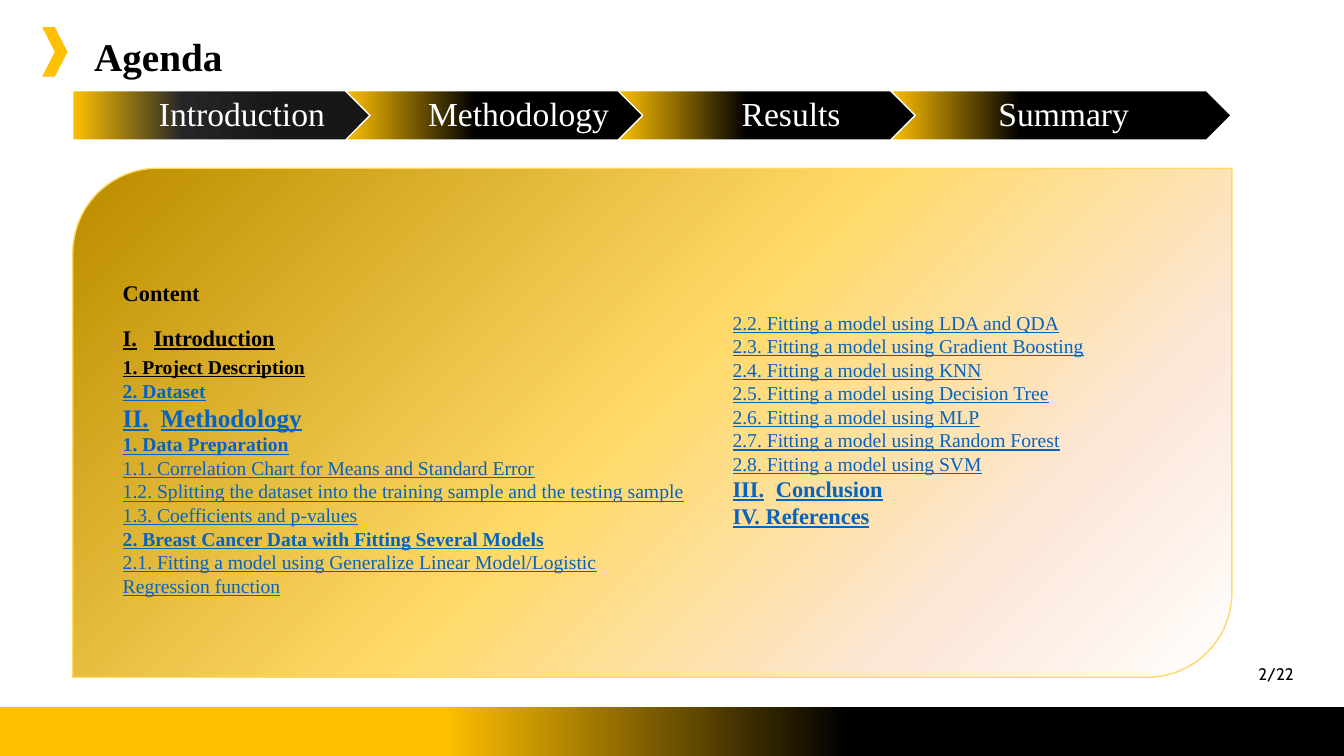
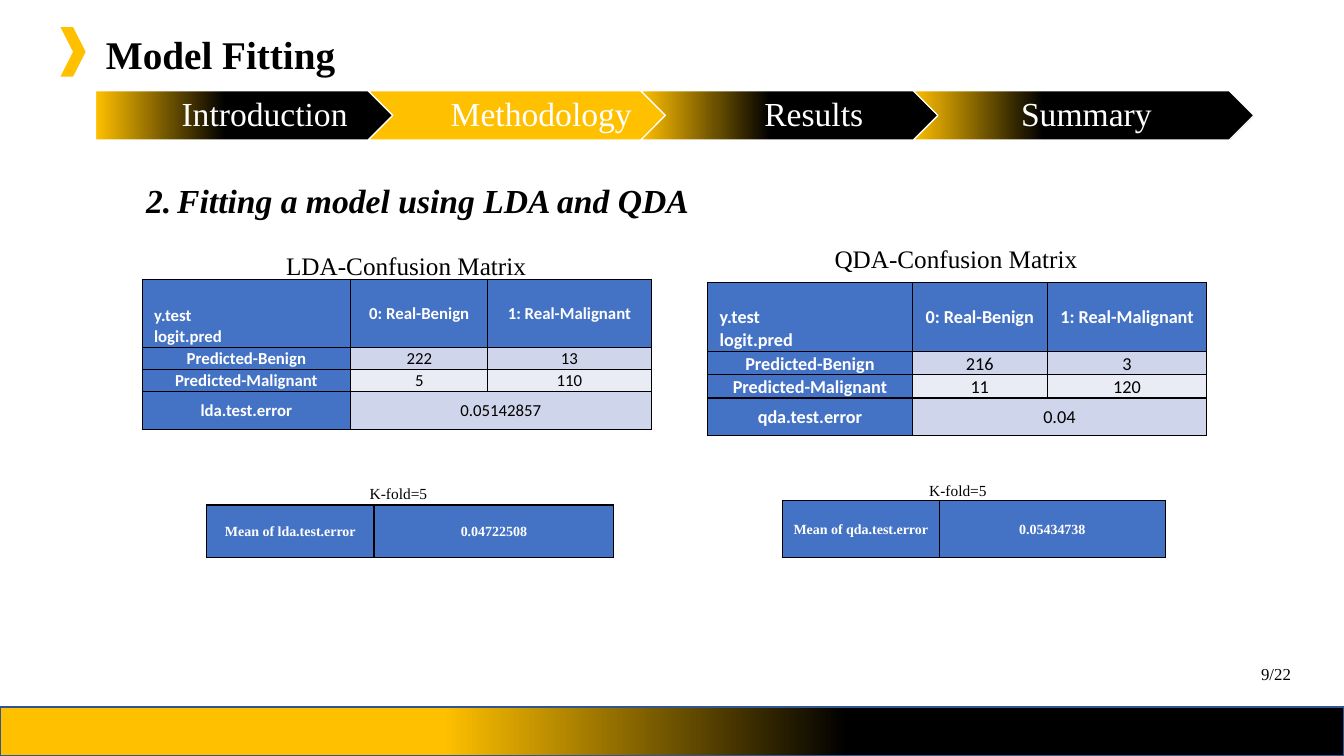
from dataclasses import dataclass

from lxml import etree
from pptx import Presentation
from pptx.dml.color import RGBColor
from pptx.enum.shapes import MSO_SHAPE
from pptx.enum.text import MSO_ANCHOR, MSO_AUTO_SIZE, PP_ALIGN
from pptx.oxml.ns import qn
from pptx.util import Pt

CHEVRON, PENTAGON = MSO_SHAPE.CHEVRON, MSO_SHAPE.PENTAGON
RECT, DIAGONAL = MSO_SHAPE.RECTANGLE, MSO_SHAPE.ROUND_2_DIAG_RECTANGLE
TOP, MIDDLE, BOTTOM = MSO_ANCHOR.TOP, MSO_ANCHOR.MIDDLE, MSO_ANCHOR.BOTTOM
LEFT, CENTER = PP_ALIGN.LEFT, PP_ALIGN.CENTER
NO_FIT = MSO_AUTO_SIZE.NONE


@dataclass(frozen=True)
class Theme:
    serif: str = "Times New Roman"
    sans: str = "Calibri"
    number: str = "Cabin"
    ink: str = "000000"
    white: str = "FFFFFF"
    gold: str = "FFC000"
    pale_gold: str = "FFD966"
    link: str = "0563C1"
    outline: str = "325491"
    header: str = "4472C4"
    odd_row: str = "CFD5EA"
    even_row: str = "E9EBF5"
    band: tuple = ((0, "FFC000"), (33, "FFC000"), (63, "000000"), (100, "000000"))
    step: tuple = ((0, "FFC000"), (38, "000000"), (83, "000000"))
    soft_step: tuple = ((0, "FFC000"), (32, "262626"), (62, "181717"))
    panel: tuple = ((0, "FFFFFF"), (21, "FCE7D9"), (52, "FFD966"), (97, "BF9000"))
    title: int = 28
    heading: int = 24
    caption: int = 18
    section: int = 16
    entry: int = 14
    page: int = 12
    note: int = 11
    small: int = 10


T = Theme()


@dataclass
class Entry:
    text: str
    size: int = T.entry
    color: str = T.link
    bold: bool = False
    underline: bool = True
    before: int = 0
    spacing: float = 1.0
    tab: int = 0


def paint(sp, fill, line=None):
    sp.shadow.inherit = False
    if isinstance(fill, str):
        sp.fill.solid()
        sp.fill.fore_color.rgb = RGBColor.from_string(fill)
    else:
        sp.fill.gradient()
        sp.fill.gradient_angle = 0
        stops = sp._element.spPr.find(qn("a:gradFill")).find(qn("a:gsLst"))
        for stop in list(stops):
            stops.remove(stop)
        for pos, color in fill:
            stop = etree.SubElement(stops, qn("a:gs"), pos=str(pos * 1000))
            etree.SubElement(stop, qn("a:srgbClr"), val=color)
    if line:
        sp.line.color.rgb = RGBColor.from_string(line)
        sp.line.width = Pt(1)
    else:
        sp.line.fill.background()


def write(p, text, size, color=T.ink, font=T.serif, bold=False, italic=False, underline=False):
    r = p.add_run()
    r.text = text
    r.font.name = font
    r.font.size = Pt(size)
    r.font.color.rgb = RGBColor.from_string(color)
    r.font.bold = bold
    r.font.italic = italic
    r.font.underline = underline


prs = Presentation()
prs.slide_width, prs.slide_height = Pt(960), Pt(540)

steps = ("Introduction", "Methodology", "Results", "Summary")
pages = (
    ("Agenda", 60, 19.4, 30.2, 52, {0: T.soft_step}, None, "2/22", T.number),
    ("Model Fitting", 68.4, 18, 43.2, 68.2, {1: T.gold}, T.outline, "9/22", T.serif),
)
slides = []
for title, title_x, title_y, mark_x, nav_x, special, band_line, number, number_font in pages:
    s = prs.slides.add_slide(prs.slide_layouts[5])
    slides.append(s)

    sp = s.shapes.add_shape(RECT, 0, Pt(505), Pt(960), Pt(35))
    paint(sp, T.band, band_line)
    sp = s.shapes.add_shape(CHEVRON, Pt(mark_x), Pt(19.4), Pt(18), Pt(35.3))
    paint(sp, T.gold)

    sp = s.shapes.title
    sp.left, sp.top, sp.width, sp.height = Pt(title_x), Pt(title_y), Pt(262), Pt(41)
    tf = sp.text_frame
    tf.auto_size = NO_FIT
    tf.vertical_anchor = TOP
    p = tf.paragraphs[0]
    p.alignment = LEFT
    write(p, title, T.title, bold=True)

    for i, label in enumerate(steps):
        kind = CHEVRON if i else PENTAGON
        sp = s.shapes.add_shape(kind, Pt(nav_x + i * 194.7), Pt(64.8), Pt(243.4), Pt(35.3))
        paint(sp, special.get(i, T.step), T.white)
        tf = sp.text_frame
        tf.vertical_anchor = MIDDLE
        tf.margin_left, tf.margin_right = Pt(7 if i else 10), Pt(3)
        tf.margin_top = tf.margin_bottom = Pt(5)
        p = tf.paragraphs[0]
        p.alignment = CENTER
        p.line_spacing = 0.9
        write(p, label, T.heading, T.white)

    tf = s.shapes.add_textbox(Pt(863), Pt(460.8), Pt(97), Pt(40.3)).text_frame
    tf.word_wrap = True
    tf.vertical_anchor = MIDDLE
    p = tf.paragraphs[0]
    p.alignment = CENTER
    write(p, number, T.page, font=number_font)

agenda, fitting = slides

sp = agenda.shapes.add_shape(DIAGONAL, Pt(52), Pt(120.2), Pt(828), Pt(363.6))
paint(sp, T.panel, T.pale_gold)
grad = sp._element.spPr.find(qn("a:gradFill"))
grad.remove(grad.find(qn("a:lin")))
circle = etree.SubElement(grad, qn("a:path"), path="circle")
etree.SubElement(circle, qn("a:fillToRect"), l="100000", t="100000")

columns = (
    (80.6, 190.8, 418.3, 244, MIDDLE, (
        Entry("Content", T.section, T.ink, True, False),
        Entry("I.\tIntroduction", T.section, T.ink, True, before=12, spacing=1.06, tab=22),
        Entry("1. Project Description", color=T.ink, bold=True, before=2, spacing=1.06),
        Entry("2. Dataset", bold=True),
        Entry("II.\tMethodology", T.caption, bold=True, tab=27),
        Entry("1. Data Preparation", bold=True),
        Entry("1.1. Correlation Chart for Means and Standard Error"),
        Entry("1.2. Splitting the dataset into the training sample and the testing sample"),
        Entry("1.3. Coefficients and p-values"),
        Entry("2. Breast Cancer Data with Fitting Several Models", bold=True),
        Entry("2.1. Fitting a model using Generalize Linear Model/Logistic Regression function"),
    )),
    (516.2, 218.2, 360, 165, TOP, (
        Entry("2.2. Fitting a model using LDA and QDA"),
        Entry("2.3. Fitting a model using Gradient Boosting"),
        Entry("2.4. Fitting a model using KNN"),
        Entry("2.5. Fitting a model using Decision Tree"),
        Entry("2.6. Fitting a model using MLP"),
        Entry("2.7. Fitting a model using Random Forest"),
        Entry("2.8. Fitting a model using SVM"),
        Entry("III.\tConclusion", T.section, bold=True, tab=31),
        Entry("IV. References", T.section, bold=True),
    )),
)
for x, y, w, h, anchor, entries in columns:
    tf = agenda.shapes.add_textbox(Pt(x), Pt(y), Pt(w), Pt(h)).text_frame
    tf.word_wrap = True
    tf.vertical_anchor = anchor
    for i, entry in enumerate(entries):
        p = tf.add_paragraph() if i else tf.paragraphs[0]
        p.space_before = Pt(entry.before)
        p.line_spacing = entry.spacing
        if entry.tab:
            tabs = etree.SubElement(p._p.get_or_add_pPr(), qn("a:tabLst"))
            etree.SubElement(tabs, qn("a:tab"), pos=str(Pt(entry.tab)), algn="l")
        write(p, entry.text, entry.size, entry.color, bold=entry.bold, underline=entry.underline)

tf = fitting.shapes.add_textbox(Pt(61.2), Pt(123), Pt(450), Pt(36)).text_frame
tf.word_wrap = True
p = tf.paragraphs[0]
p.line_spacing = 1.06
p.space_before = Pt(2)
pPr = p._p.get_or_add_pPr()
pPr.set("marL", str(Pt(58.3)))
pPr.set("indent", str(Pt(-22.3)))
etree.SubElement(pPr, qn("a:buFont"), typeface="+mj-lt")
etree.SubElement(pPr, qn("a:buAutoNum"), type="arabicPeriod", startAt="2")
write(p, "Fitting a model using LDA and QDA", T.heading, bold=True, italic=True)

headings = ("y.test\nlogit.pred", "0: Real-Benign", "1: Real-Malignant")
tables = (
    (101.5, 199.4, (149, 98, 116.6), (48.8, 15.8, 15.8, 26.8), 12, T.sans, 8.6, (
        headings,
        ("Predicted-Benign", "222", "13"),
        ("Predicted-Malignant", "5", "110"),
        ("lda.test.error", "0.05142857"),
    )),
    (147.6, 360.7, (119.5, 171.4), (37.4,), T.small, T.serif, 5, (
        ("Mean of lda.test.error", "0.04722508"),
    )),
    (505.4, 201.6, (146.2, 96.5, 113.8), (49.6, 16.6, 16.6, 26.6), 13, T.sans, 8.6, (
        headings,
        ("Predicted-Benign", "216", "3"),
        ("Predicted-Malignant", "11", "120"),
        ("qda.test.error", "0.04"),
    )),
    (558.7, 357.8, (112.3, 161.3), (40.3,), T.small, T.serif, 5, (
        ("Mean of qda.test.error", "0.05434738"),
    )),
)
for x, y, widths, heights, size, font, margin, rows in tables:
    tbl = fitting.shapes.add_table(
        len(rows), len(widths), Pt(x), Pt(y), Pt(sum(widths)), Pt(sum(heights))).table
    tbl.first_row = tbl.horz_banding = False
    for col, width in zip(tbl.columns, widths):
        col.width = Pt(width)
    for i, (row, height) in enumerate(zip(rows, heights)):
        tbl.rows[i].height = Pt(height)
        if len(row) < len(widths):
            tbl.cell(i, len(row) - 1).merge(tbl.cell(i, len(widths) - 1))
        for j in range(len(widths)):
            cell = tbl.cell(i, j)
            tcPr = cell._tc.get_or_add_tcPr()
            for side in ("a:lnL", "a:lnR", "a:lnT", "a:lnB"):
                ln = etree.SubElement(tcPr, qn(side), w=str(Pt(1)))
                solid = etree.SubElement(ln, qn("a:solidFill"))
                etree.SubElement(solid, qn("a:srgbClr"), val=T.ink)
            is_header = i == 0 or j == 0
            fill = T.header if is_header else T.odd_row if i % 2 else T.even_row
            cell.fill.solid()
            cell.fill.fore_color.rgb = RGBColor.from_string(fill)
            cell.margin_left = cell.margin_right = Pt(margin)
            cell.margin_top = cell.margin_bottom = 0
            if j >= len(row):
                continue
            lines = row[j].split("\n")
            stacked = len(lines) > 1
            cell.vertical_anchor = BOTTOM if stacked else MIDDLE
            tf = cell.text_frame
            for k, line in enumerate(lines):
                p = tf.add_paragraph() if k else tf.paragraphs[0]
                p.alignment = LEFT if stacked else CENTER
                p.line_spacing = 1.06
                write(p, line, size, T.white if is_header else T.ink, font, bold=is_header)

captions = (
    ("LDA-Confusion Matrix", 197.3, 175, T.caption),
    ("K-fold=5", 257, 342, T.note),
    ("QDA-Confusion Matrix", 589, 170, T.caption),
    ("K-fold=5", 656.6, 339.8, T.note),
)
for text, x, y, size in captions:
    tf = fitting.shapes.add_textbox(Pt(x), Pt(y), Pt(size * 11), Pt(size + 11)).text_frame
    tf.word_wrap = True
    write(tf.paragraphs[0], text, size)

prs.save("out.pptx")
